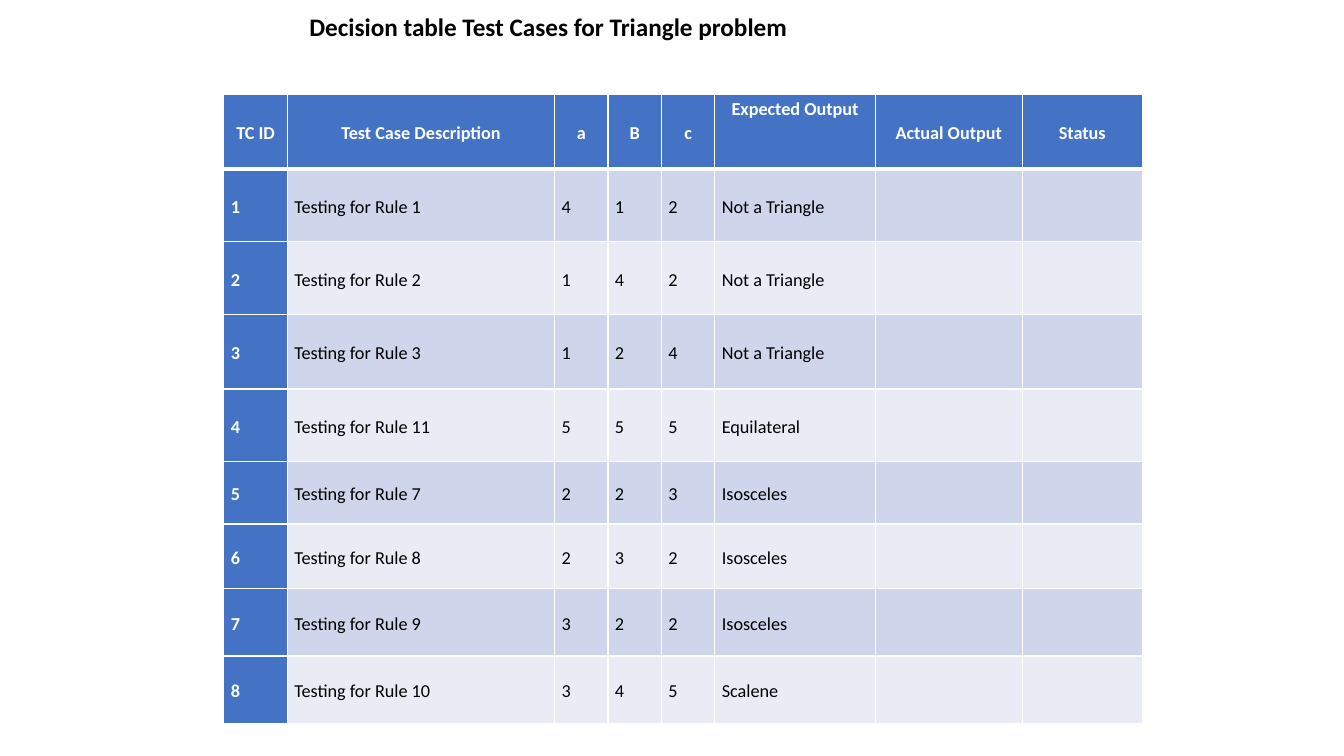
from lxml.etree import SubElement
from pptx import Presentation
from pptx.dml.color import RGBColor
from pptx.enum.text import MSO_ANCHOR, PP_ALIGN
from pptx.oxml.ns import qn
from pptx.util import Inches, Pt

BLUE, WHITE, BLACK = "4472C4", "FFFFFF", "000000"
BANDS = ["CFD5EA", "E9EBF5"]
HEADINGS = ["TC ID", "Test Case Description", "a", "B", "c",
            "Expected Output", "Actual Output", "Status"]
TEST_CASES = [
    (1, 4, 1, 2, "Not a Triangle"),
    (2, 1, 4, 2, "Not a Triangle"),
    (3, 1, 2, 4, "Not a Triangle"),
    (11, 5, 5, 5, "Equilateral"),
    (7, 2, 2, 3, "Isosceles"),
    (8, 2, 3, 2, "Isosceles"),
    (9, 3, 2, 2, "Isosceles"),
    (10, 3, 4, 5, "Scalene"),
]
COLUMN_WIDTHS = [0.63, 2.65, 0.53, 0.53, 0.53, 1.59, 1.46, 1.19]
ROW_HEIGHTS = [0.74, 0.72, 0.72, 0.74, 0.72, 0.62, 0.64, 0.67, 0.67]


def write(para, text, size, color, bold):
    span = para.add_run()
    span.text = text
    for name, value in {"name": "Calibri", "size": Pt(size), "bold": bold}.items():
        setattr(span.font, name, value)
    span.font.color.rgb = RGBColor.from_string(color)


def add_borders(cell, widths):
    """Draw white cell borders; widths maps each border tag to points."""
    properties = cell._tc.get_or_add_tcPr()
    for tag, width in widths.items():
        line = SubElement(properties, qn(f"a:{tag}"), w=str(Pt(width)))
        fill = SubElement(line, qn("a:solidFill"))
        SubElement(fill, qn("a:srgbClr"), val=WHITE)


deck = Presentation()
deck.slide_width, deck.slide_height = Inches(13.33), Inches(7.5)
page = deck.slides.add_slide(deck.slide_layouts[6])

rows = [HEADINGS]
for number, (rule, a, b, c, expected) in enumerate(TEST_CASES, 1):
    rows.append([str(number), f"Testing for Rule {rule}", str(a), str(b), str(c),
                 expected, "", ""])

table = page.shapes.add_table(len(rows), len(HEADINGS), Inches(2.22), Inches(0.94),
                              Inches(9.12), Inches(6.22)).table
for column, width in zip(table.columns, COLUMN_WIDTHS):
    column.width = Inches(width)
for row, height in zip(table.rows, ROW_HEIGHTS):
    row.height = Inches(height)

cell_format = {"margin_left": Inches(0.07), "margin_right": Inches(0.07),
               "margin_top": 0, "margin_bottom": 0}
for r, texts in enumerate(rows):
    for c, text in enumerate(texts):
        cell = table.cell(r, c)
        is_heading = r == 0 or c == 0
        add_borders(cell, {"lnL": 1, "lnR": 1, "lnT": 3 if r == 1 else 1,
                           "lnB": 3 if r == 0 else 1})
        cell.fill.solid()
        cell.fill.fore_color.rgb = RGBColor.from_string(
            BLUE if is_heading else BANDS[(r - 1) % 2])
        for name, value in cell_format.items():
            setattr(cell, name, value)
        at_top = text == "Expected Output"
        cell.vertical_anchor = MSO_ANCHOR.TOP if at_top else MSO_ANCHOR.MIDDLE
        if text:
            para = cell.text_frame.paragraphs[0]
            para.alignment = PP_ALIGN.CENTER if r == 0 else PP_ALIGN.JUSTIFY
            para.line_spacing = 1.15
            write(para, text, 13, WHITE if is_heading else BLACK, is_heading)

title = page.shapes.add_textbox(Inches(2.97), Inches(0.06), Inches(8.06), Inches(0.4))
title.text_frame.word_wrap = True
write(title.text_frame.paragraphs[0], "Decision table Test Cases for Triangle problem",
      18, BLACK, True)

deck.save("out.pptx")
